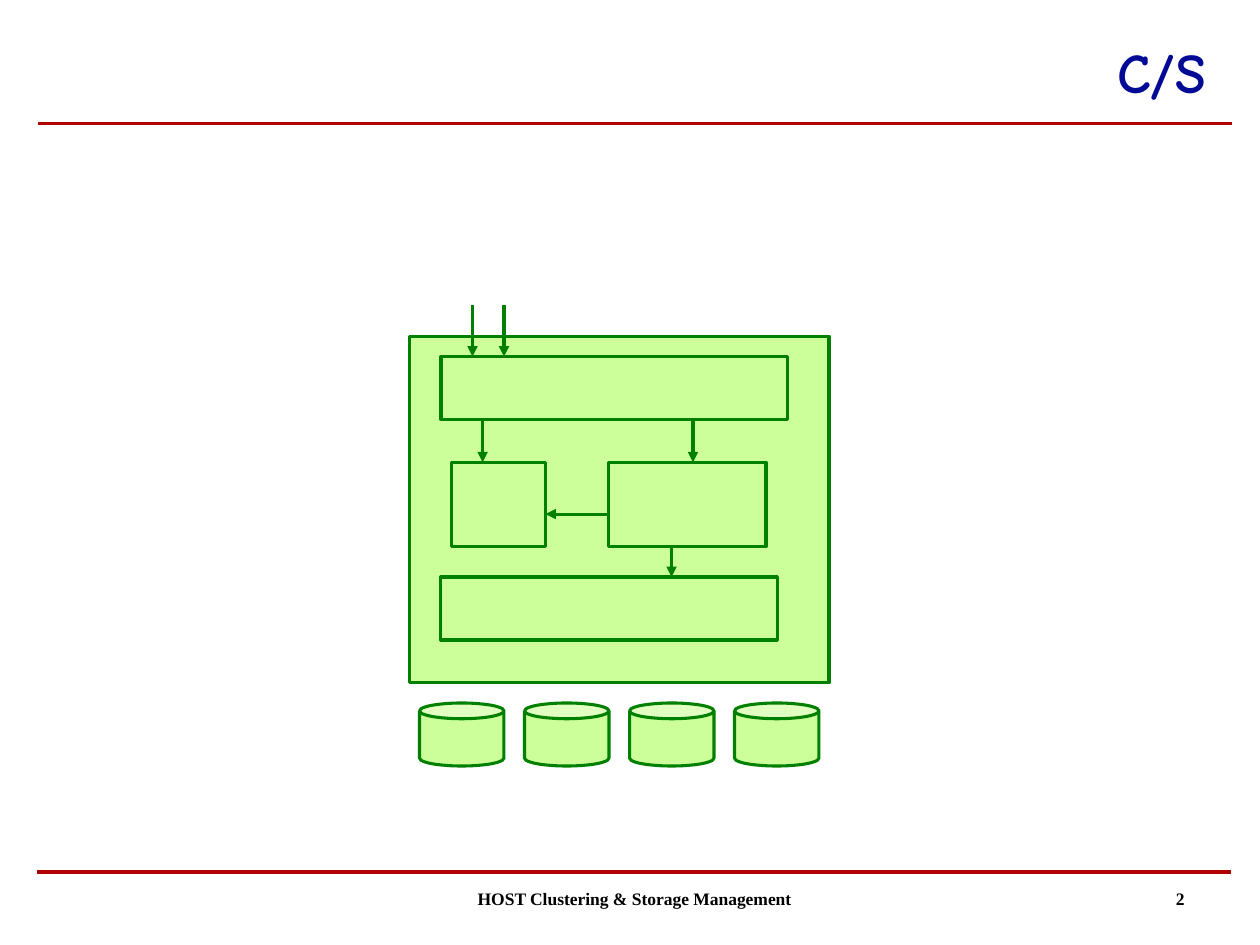
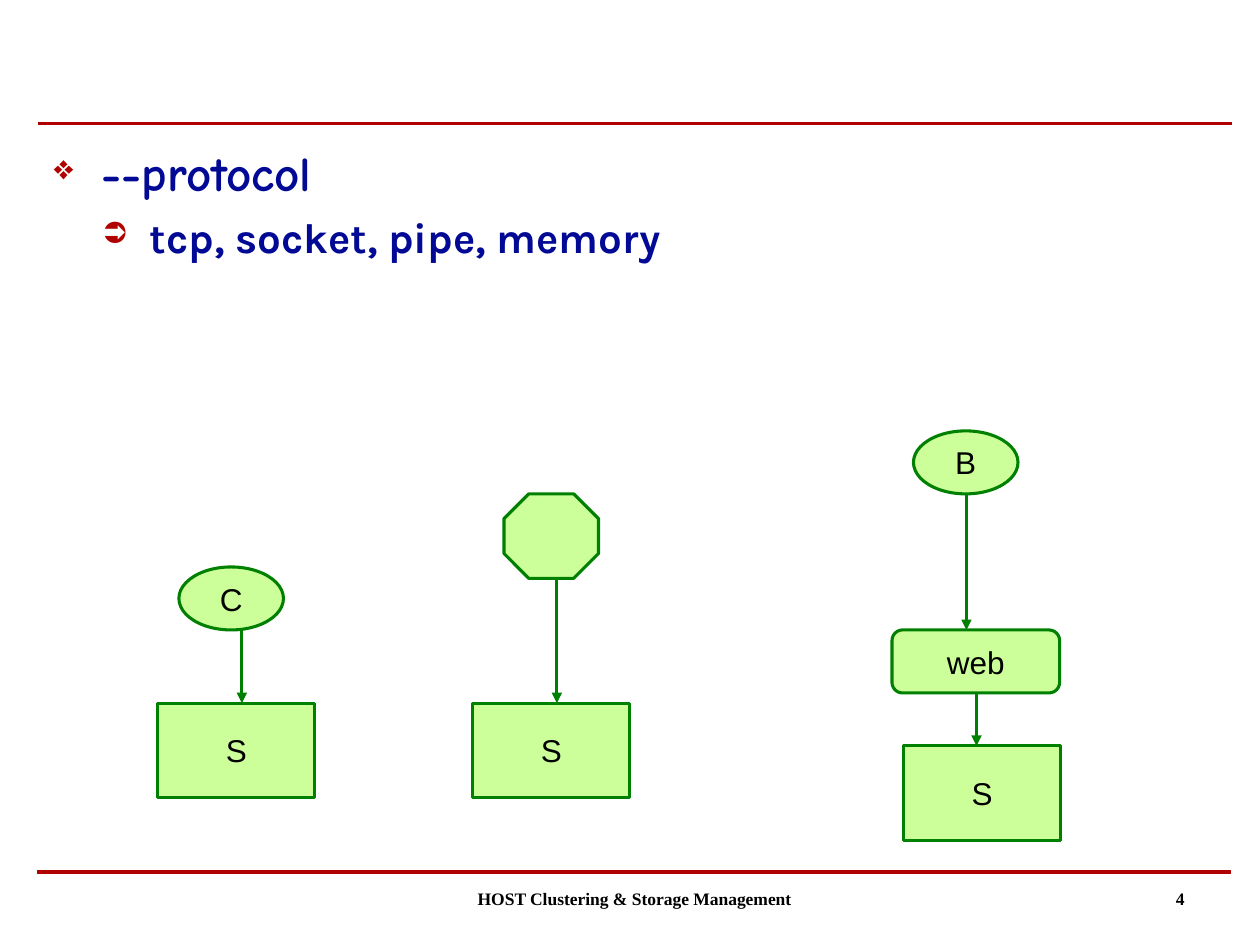
import pptx
import pptx.util
import pptx.dml.color
import pptx.enum.shapes
import pptx.enum.text
import pptx.oxml.ns
import lxml.etree

Inches, Pt = pptx.util.Inches, pptx.util.Pt
Form = pptx.enum.shapes.MSO_SHAPE
Align = pptx.enum.text.PP_ALIGN
Anchor = pptx.enum.text.MSO_ANCHOR
qn = pptx.oxml.ns.qn

RED, NAVY, GREEN, LIME, BLACK = "B00000", "020994", "008000", "CCFF99", "000000"


def paint(text):
    return pptx.dml.color.RGBColor.from_string(text)


def style(para, font, size, color, bold=False):
    for run in para.runs:
        run.font.name = font
        run.font.size = Pt(size)
        run.font.bold = bold
        run.font.color.rgb = paint(color)


# Server diagram: form, label, left, top, width, height
server = [
    (Form.RECTANGLE, "", 3.25, 2.67, 3.33, 2.75),
    (Form.RECTANGLE, "", 3.5, 2.83, 2.75, 0.5),
    (Form.RECTANGLE, "", 3.58, 3.67, 0.75, 0.67),
    (Form.RECTANGLE, "", 4.83, 3.67, 1.25, 0.67),
    (Form.RECTANGLE, "", 3.5, 4.58, 2.67, 0.5),
]
for disk in range(4):
    server.append((Form.CAN, "", 3.33 + disk * 2.5 / 3, 5.58, 0.67, 0.5))

# Arrows: start x, start y, end x, end y
calls = [
    (3.75, 2.42, 3.75, 2.83),
    (4, 2.42, 4, 2.83),
    (3.83, 3.33, 3.83, 3.67),
    (5.5, 3.33, 5.5, 3.67),
    (4.83, 4.08, 4.33, 4.08),
    (5.33, 4.33, 5.33, 4.58),
]

# Three ways for a client to reach a server
clients = [
    (Form.OVAL, "C", 1.42, 4.5, 0.83, 0.5),
    (Form.OCTAGON, "", 4, 3.92, 0.75, 0.67),
    (Form.OVAL, "B", 7.25, 3.42, 0.83, 0.5),
    (Form.ROUNDED_RECTANGLE, "web", 7.08, 5, 1.33, 0.5),
]
for left, top in [(1.25, 5.58), (3.75, 5.58), (7.17, 5.92)]:
    clients.append((Form.RECTANGLE, "S", left, top, 1.25, 0.75))
links = [
    (1.92, 5, 1.92, 5.58),
    (4.42, 4.58, 4.42, 5.58),
    (7.67, 3.92, 7.67, 5),
    (7.75, 5.5, 7.75, 5.92),
]

# Bullets: text, level, sign, font, size
points = [
    ("--protocol", 0, "❖", "Comic Neue", 28),
    ("tcp, socket, pipe, memory", 1, "➲", "Karla", 24),
]

# Slides: number, title, bullets, shapes, arrows
pages = [
    ("2", "C/S", [], server, calls),
    ("4", "", points, clients, links),
]

deck = pptx.Presentation()
deck.slide_width, deck.slide_height = Inches(10), Inches(7.5)

for number, title, bullets, forms, arrows in pages:
    slide = deck.slides.add_slide(deck.slide_layouts[6])

    # Shapes
    for form, label, *place in forms:
        shape = slide.shapes.add_shape(form, *[Inches(n) for n in place])
        shape.shadow.inherit = False
        shape.fill.solid()
        shape.fill.fore_color.rgb = paint(LIME)
        shape.line.color.rgb = paint(GREEN)
        shape.line.width = Pt(1.75)
        if label:
            frame = shape.text_frame
            frame.text = label
            frame.word_wrap = False
            frame.vertical_anchor = Anchor.MIDDLE
            frame.paragraphs[0].alignment = Align.CENTER
            style(frame.paragraphs[0], "Arial", 18, BLACK)

    # Red rules and green arrows
    rules = [(0.3, 0.98, 9.78, 0.98), (0.29, 6.92, 9.77, 6.92)]
    for ends in rules + arrows:
        line = slide.shapes.add_connector(
            pptx.enum.shapes.MSO_CONNECTOR.STRAIGHT, *[Inches(n) for n in ends])
        line.line.color.rgb = paint(RED if ends in rules else GREEN)
        line.line.width = Pt(2 if ends in rules else 1.75)
        if ends in arrows:
            stroke = line.line._get_or_add_ln()
            lxml.etree.SubElement(stroke, qn("a:tailEnd"), type="triangle")
        lxml.etree.SubElement(line._element.spPr, qn("a:effectLst"))

    # Title, footer and slide number
    texts = [
        ("HOST Clustering & Storage Management", (3.33, 7, 3.17, 0.5),
         Align.CENTER, "Times New Roman", 10, BLACK),
        (number, (7.17, 7, 2.33, 0.46),
         Align.RIGHT, "Times New Roman", 10, BLACK),
    ]
    if title:
        texts.append((title, (2.75, 0.25, 6.92, 0.63),
                      Align.RIGHT, "Comic Neue", 32, NAVY))
    for text, place, side, font, size, color in texts:
        frame = slide.shapes.add_textbox(*[Inches(n) for n in place]).text_frame
        frame.text = text
        frame.word_wrap = True
        para = frame.paragraphs[0]
        para.alignment = side
        if text == title:
            frame.vertical_anchor = Anchor.BOTTOM
        else:
            para._p.get_or_add_pPr().set("marL", str(Inches(0.24)))
        style(para, font, size, color, True)

    # Bulleted body
    if bullets:
        frame = slide.shapes.add_textbox(
            Inches(0.33), Inches(1.08), Inches(9.42), Inches(5.75)).text_frame
        frame.word_wrap = True
    for text, level, sign, font, size in bullets:
        para = frame.add_paragraph() if level else frame.paragraphs[0]
        para.text = text
        para.level = level
        props = para._p.get_or_add_pPr()
        props.set("marL", str(Inches(0.38 * (level + 1))))
        props.set("indent", str(Inches(-0.38)))
        tint = lxml.etree.SubElement(props, qn("a:buClr"))
        lxml.etree.SubElement(tint, qn("a:srgbClr"), val=RED)
        lxml.etree.SubElement(props, qn("a:buSzPct"), val="70000")
        lxml.etree.SubElement(props, qn("a:buChar"), char=sign)
        if level:
            para.space_before = Pt(6)
        style(para, font, size, NAVY, True)

deck.save("out.pptx")
